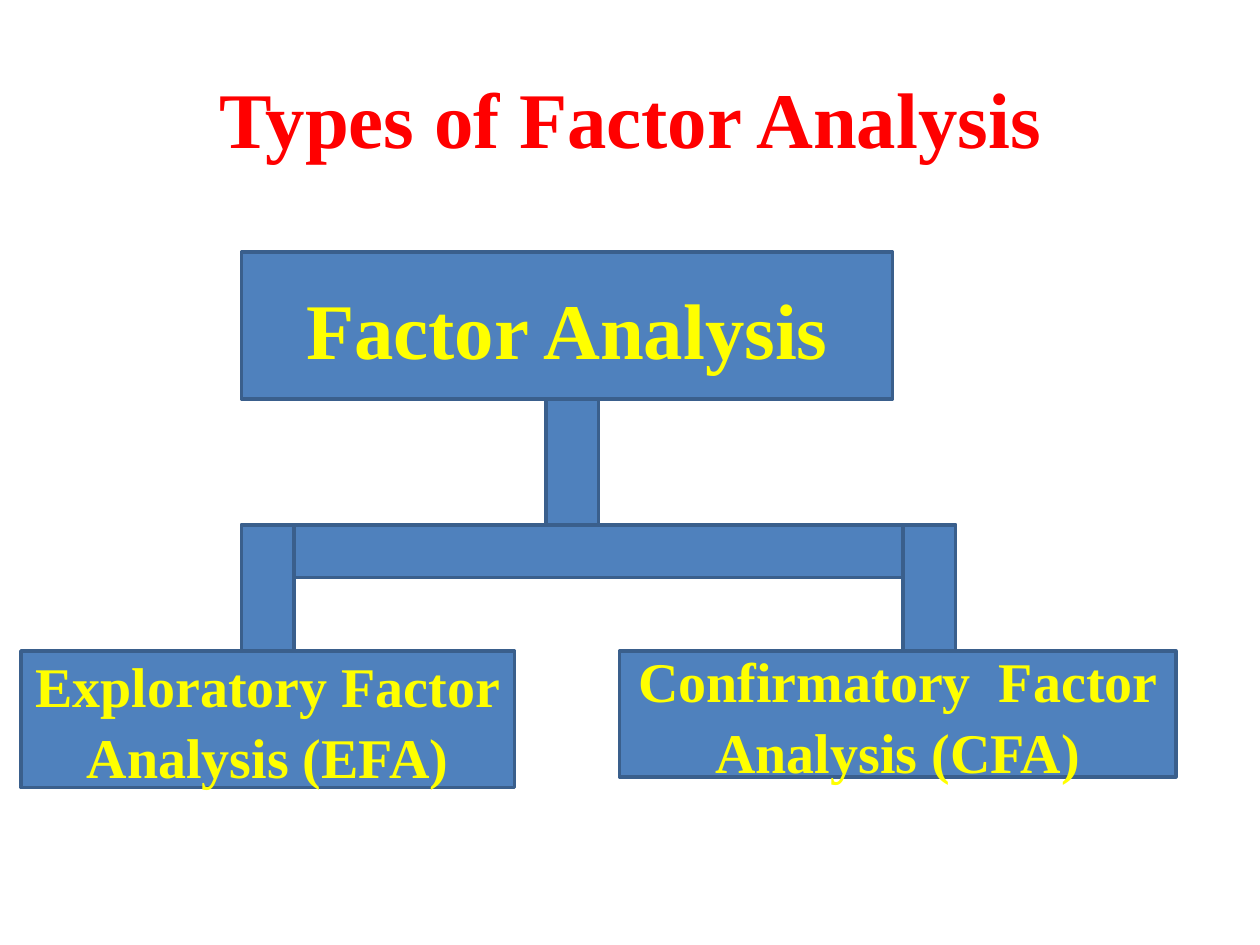
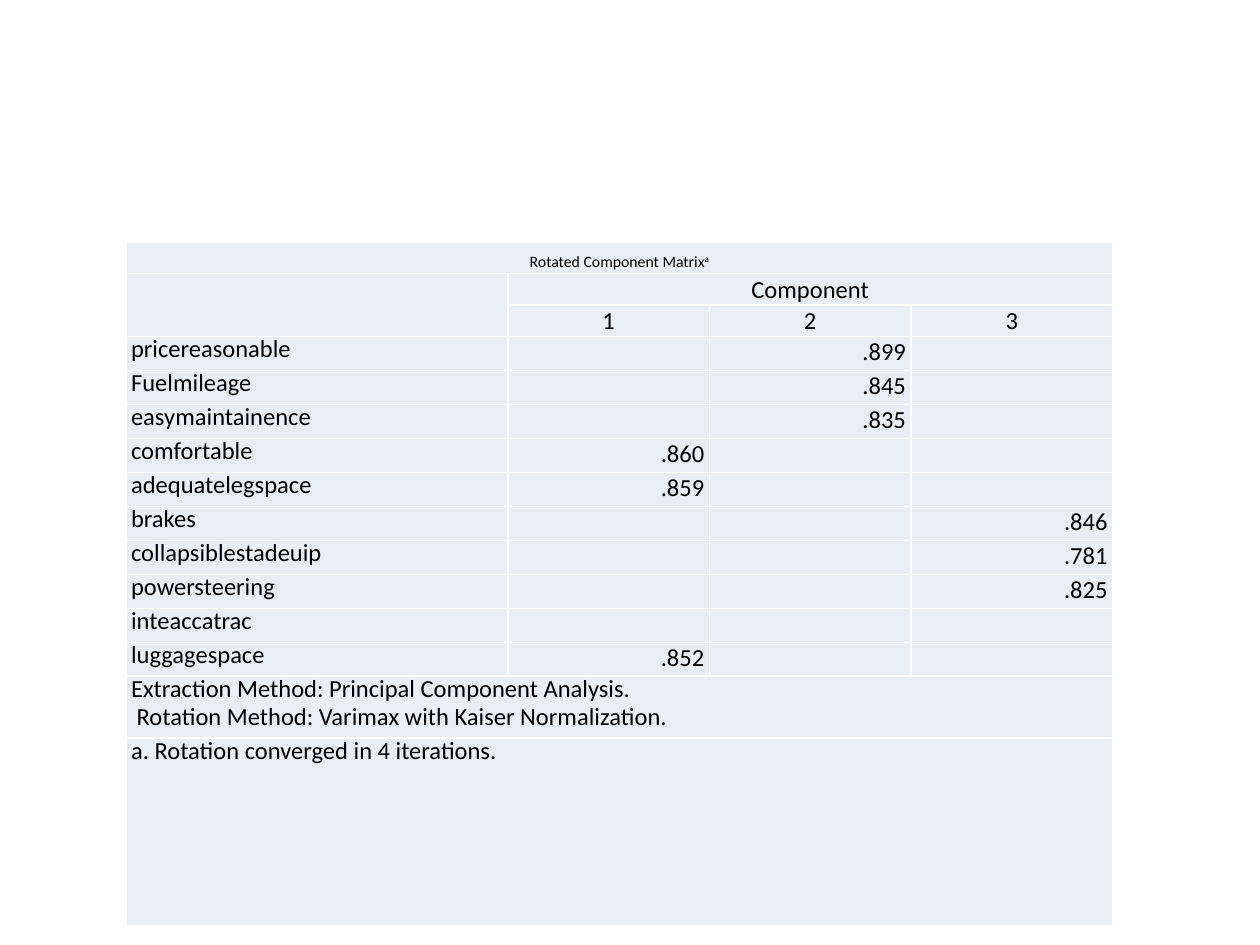
from lxml import etree
from pptx import Presentation
from pptx.dml.color import RGBColor
from pptx.enum import shapes, text
from pptx.oxml import ns
from pptx.util import Emu, Inches, Pt

RED = RGBColor(0xFF, 0x00, 0x00)
YELLOW = RGBColor(0xFF, 0xFF, 0x00)
BLACK = RGBColor(0x00, 0x00, 0x00)
WHITE = RGBColor(0xFF, 0xFF, 0xFF)
BLUE = RGBColor(0x4F, 0x81, 0xBD)
DARK_BLUE = RGBColor(0x3A, 0x5F, 0x8C)
PALE_BLUE = RGBColor(0xE9, 0xED, 0xF4)
HEADING_FONT, TABLE_FONT = "Times New Roman", "Calibri"
UNIT = Inches(1) // 12  # the diagram sits on a grid of twelve units to the inch
CENTER, RIGHT, LEFT = text.PP_ALIGN.CENTER, text.PP_ALIGN.RIGHT, text.PP_ALIGN.LEFT
TOP, MIDDLE, BOTTOM = text.MSO_ANCHOR.TOP, text.MSO_ANCHOR.MIDDLE, text.MSO_ANCHOR.BOTTOM


def write_heading(shape, words, size, color):
    """Write centred bold text into a shape."""
    frame = shape.text_frame
    frame.word_wrap = True
    frame.vertical_anchor = MIDDLE
    line = frame.paragraphs[0]
    line.text = words
    line.alignment = CENTER
    line.font.name, line.font.size, line.font.bold = HEADING_FONT, Pt(size), True
    line.font.color.rgb = color
    return line


def write_cell(cell, words="", align=LEFT, anchor=TOP, size=14):
    """Fill a cell, draw its white borders and set its text."""
    properties = cell._tc.get_or_add_tcPr()
    for side in ("lnL", "lnR", "lnT", "lnB"):
        border = etree.SubElement(properties, ns.qn(f"a:{side}"), w=str(Pt(1)))
        fill = etree.SubElement(border, ns.qn("a:solidFill"))
        etree.SubElement(fill, ns.qn("a:srgbClr"), val=str(WHITE))
    cell.fill.solid()
    cell.fill.fore_color.rgb = PALE_BLUE
    cell.margin_left = cell.margin_right = cell.margin_top = cell.margin_bottom = 0
    cell.vertical_anchor = anchor
    cell.text = words
    for line in cell.text_frame.paragraphs:
        line.alignment = align
        line.line_spacing = Pt(16)
        line.font.name, line.font.size = TABLE_FONT, Pt(size)
        line.font.color.rgb = BLACK
        for indent in ("marL", "marR"):
            line._p.get_or_add_pPr().set(indent, str(Inches(0.04)))


deck = Presentation()
deck.slide_width, deck.slide_height = Inches(10), Inches(7.5)
blank = deck.slide_layouts[6]

# Slide 1: types of factor analysis
types_slide = deck.slides.add_slide(blank)
title = types_slide.shapes.add_textbox(6 * UNIT, Inches(0.3), 108 * UNIT, 15 * UNIT)
write_heading(title, "Types of Factor Analysis", 45, RED)

BAR = 5
diagram = [  # column, row, columns wide, rows high, words, size
    (23, 24, 62, 14, "Factor Analysis", 45),
    (52, 38, BAR, 12, "", 0),
    (23, 50, 68, BAR, "", 0),
    (23, 50, BAR, 12, "", 0),
    (86, 50, BAR, 12, "", 0),
    (2, 62, 47, 13, "Exploratory Factor Analysis (EFA)", 32),
    (59, 62, 53, 12, "Confirmatory  Factor Analysis (CFA)", 32),
]
for *place, words, size in diagram:
    block = types_slide.shapes.add_shape(
        shapes.MSO_SHAPE.RECTANGLE, *(Emu(length * UNIT) for length in place))
    block.shadow.inherit = False
    block.fill.solid()
    block.fill.fore_color.rgb = BLUE
    block.line.color.rgb = DARK_BLUE
    block.line.width = Pt(2)
    if words:
        write_heading(block, words, size, YELLOW).line_spacing = 1.05

# Slide 2: rotated component matrix
loadings = [  # variable, component, loading
    ("pricereasonable", 2, ".899"),
    ("Fuelmileage", 2, ".845"),
    ("easymaintainence", 2, ".835"),
    ("comfortable", 1, ".860"),
    ("adequatelegspace", 1, ".859"),
    ("brakes", 3, ".846"),
    ("collapsiblestadeuip", 3, ".781"),
    ("powersteering", 3, ".825"),
    ("inteaccatrac", None, ""),
    ("luggagespace", 1, ".852"),
]
column_widths = [3.03] + [1.6] * 3
row_heights = [0.25] * 3 + [0.27] * len(loadings) + [0.49, 1.49]
method_row, note_row = len(row_heights) - 2, len(row_heights) - 1

matrix_slide = deck.slides.add_slide(blank)
matrix = matrix_slide.shapes.add_table(
    len(row_heights), len(column_widths), Inches(1), Inches(1.92),
    Inches(sum(column_widths)), Inches(sum(row_heights))).table
for column, width in zip(matrix.columns, column_widths):
    column.width = Inches(width)
for row, height in zip(matrix.rows, row_heights):
    row.height = Inches(height)

contents = {
    (0, 0): ("Rotated Component Matrix", CENTER, MIDDLE, 9),
    (1, 1): ("Component", CENTER, BOTTOM),
    (method_row, 0): ("Extraction Method: Principal Component Analysis.\n"
                      " Rotation Method: Varimax with Kaiser Normalization.",),
    (note_row, 0): ("a. Rotation converged in 4 iterations.",),
}
for component in (1, 2, 3):
    contents[2, component] = (str(component), CENTER, BOTTOM)
for row, (variable, component, loading) in enumerate(loadings, start=3):
    contents[row, 0] = (variable,)
    if component:
        contents[row, component] = (loading, RIGHT, MIDDLE)

for row in range(len(row_heights)):
    for column in range(len(column_widths)):
        write_cell(matrix.cell(row, column), *contents.get((row, column), ()))

footnote_mark = matrix.cell(0, 0).text_frame.paragraphs[0].add_run()
footnote_mark.text = "a"
footnote_mark._r.get_or_add_rPr().set("baseline", "30000")

for row in (0, method_row, note_row):
    matrix.cell(row, 0).merge(matrix.cell(row, 3))
matrix.cell(1, 0).merge(matrix.cell(2, 0))
matrix.cell(1, 1).merge(matrix.cell(1, 3))

deck.save("out.pptx")
